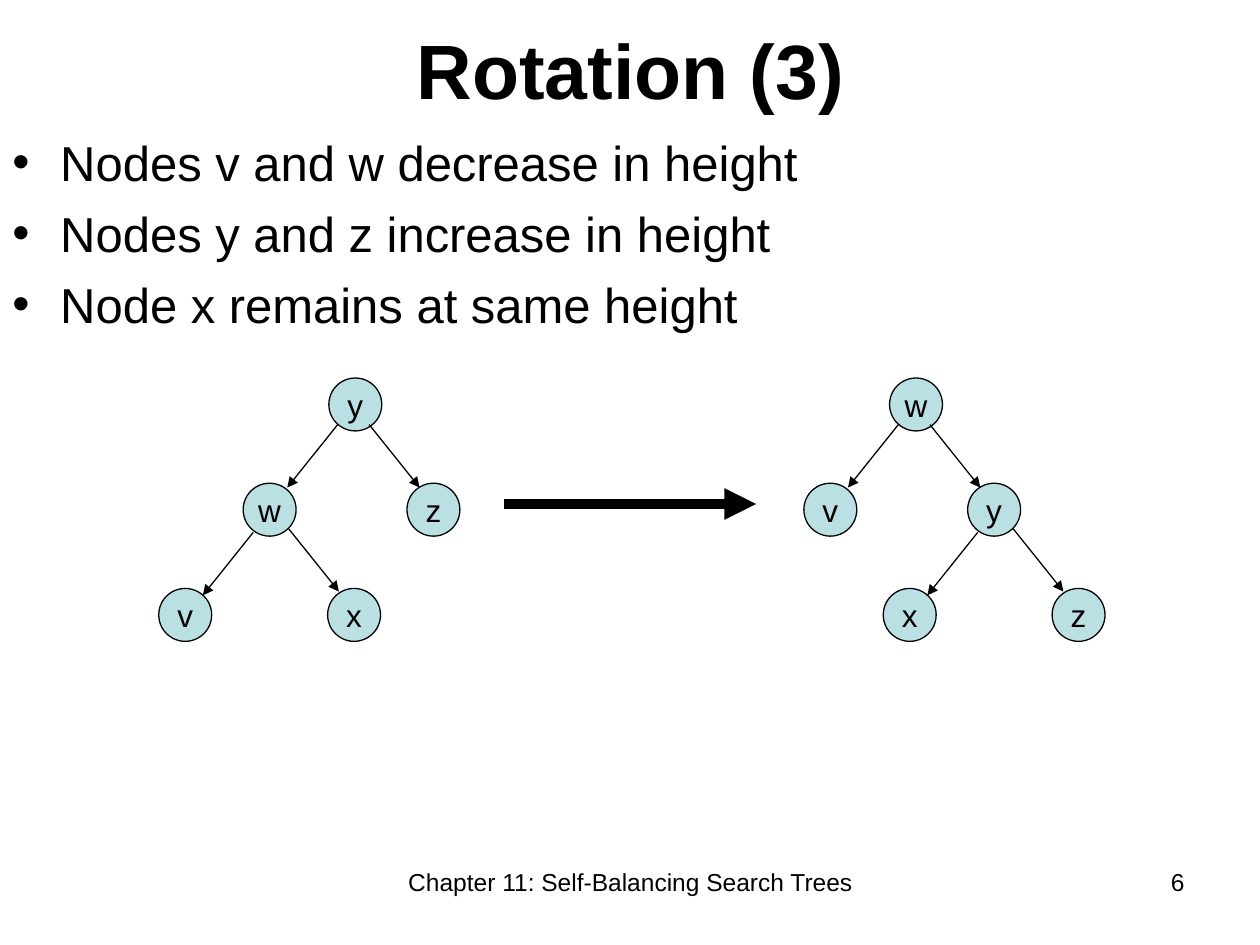
"""Build a slide that shows a rotation in a self-balancing search tree."""
import dataclasses
import typing

import pptx
import pptx.dml.color
import pptx.enum.shapes
import pptx.enum.text
import pptx.oxml.ns
import pptx.util
from lxml import etree

Inches = pptx.util.Inches
Align = pptx.enum.text.PP_ALIGN
Anchor = pptx.enum.text.MSO_ANCHOR


@dataclasses.dataclass(frozen=True)
class Theme:
    font: str = "Arial"
    ink: str = "000000"
    node: str = "BBE0E3"
    title: float = 44
    body: float = 28
    label: float = 18
    foot: float = 14
    thin: float = 0.75
    thick: float = 6


@dataclasses.dataclass(frozen=True)
class Block:
    lines: tuple[str, ...]
    box: tuple[float, float, float, float]
    size: float
    align: typing.Any = Align.LEFT
    anchor: typing.Any = Anchor.TOP
    bold: bool = False
    bullet: bool = False


@dataclasses.dataclass(frozen=True)
class Node:
    name: str
    kids: tuple["Node", ...] = ()


@dataclasses.dataclass(frozen=True)
class Branch:
    step: float
    start: tuple[float, float]
    end: tuple[float, float]


THEME = Theme()
SIZE = 0.42
TOP = 3
DROP = 0.835
ROWS = (
    (Branch(-0.68, (0.07, 0.37), (-0.33, 0.87)), Branch(0.62, (0.32, 0.37), (0.72, 0.87))),
    (Branch(-0.67, (0.08, 0.39), (-0.32, 0.89)), Branch(0.67, (0.36, 0.36), (0.76, 0.86))),
)
TREES = (
    (2.61, Node("y", (Node("w", (Node("v"), Node("x"))), Node("z")))),
    (7.06, Node("w", (Node("v"), Node("y", (Node("x"), Node("z")))))),
)
BLOCKS = (
    Block(("Rotation (3)",), (0.17, 0.17, 9.67, 0.75), THEME.title,
          Align.CENTER, Anchor.MIDDLE, bold=True),
    Block(("Nodes v and w decrease in height",
           "Nodes y and z increase in height",
           "Node x remains at same height"), (0, 1, 10, 5.7), THEME.body, bullet=True),
    Block(("Chapter 11: Self-Balancing Search Trees",), (2.67, 6.83, 4.67, 0.52),
          THEME.foot, Align.CENTER),
    Block(("6",), (7.17, 6.83, 2.33, 0.52), THEME.foot, Align.RIGHT),
)


def shade(code: str) -> pptx.dml.color.RGBColor:
    """Return the colour for a hex code."""
    return pptx.dml.color.RGBColor.from_string(code)


def assign(thing: typing.Any, values: dict[str, typing.Any]) -> None:
    """Set each named value on a thing."""
    for key, value in values.items():
        setattr(thing, key, value)


def add_tag(parent: typing.Any, tag: str, **values: str) -> None:
    """Append a drawing element with its values."""
    etree.SubElement(parent, pptx.oxml.ns.qn(tag), values)


def write(para: typing.Any, text: str, size: float, bold: bool = False) -> None:
    """Add one styled run to a paragraph."""
    run = para.add_run()
    run.text = text
    assign(run.font, {"name": THEME.font, "size": pptx.util.Pt(size), "bold": bold})
    run.font.color.rgb = shade(THEME.ink)


def add_dot(para: typing.Any) -> None:
    """Give a paragraph a hanging bullet."""
    props = para._p.get_or_add_pPr()
    hang = Inches(0.38)
    props.set("marL", str(hang))
    props.set("indent", str(-hang))
    add_tag(props, "a:buFont", typeface=THEME.font)
    add_tag(props, "a:buChar", char="•")


def draw_block(slide: typing.Any, block: Block) -> None:
    """Draw a text box with one paragraph per line."""
    frame = slide.shapes.add_textbox(*map(Inches, block.box)).text_frame
    assign(frame, {"word_wrap": True, "vertical_anchor": block.anchor})
    for rank, line in enumerate(block.lines):
        para = frame.add_paragraph() if rank else frame.paragraphs[0]
        if block.bullet:
            add_dot(para)
        para.alignment = block.align
        if rank:
            para.space_before = pptx.util.Pt(7)
        write(para, line, block.size, block.bold)


def draw_arrow(slide: typing.Any, start: tuple[float, float],
               end: tuple[float, float], width: float) -> None:
    """Draw a straight arrow between two points."""
    line = slide.shapes.add_connector(
        pptx.enum.shapes.MSO_CONNECTOR.STRAIGHT, *map(Inches, start + end))
    line.line.width = pptx.util.Pt(width)
    line.line.fill.solid()
    line.line.fill.fore_color.rgb = shade(THEME.ink)
    add_tag(line.line._get_or_add_ln(), "a:tailEnd", type="triangle")
    add_tag(line._element.spPr, "a:effectLst")


def draw_node(slide: typing.Any, name: str, left: float, top: float) -> None:
    """Draw a round node with its label."""
    disc = slide.shapes.add_shape(
        pptx.enum.shapes.MSO_SHAPE.OVAL, *map(Inches, (left, top, SIZE, SIZE)))
    disc.shadow.inherit = False
    disc.fill.solid()
    disc.fill.fore_color.rgb = shade(THEME.node)
    disc.line.color.rgb = shade(THEME.ink)
    disc.line.width = pptx.util.Pt(THEME.thin)
    frame = disc.text_frame
    assign(frame, {"word_wrap": False, "vertical_anchor": Anchor.MIDDLE})
    frame.paragraphs[0].alignment = Align.CENTER
    write(frame.paragraphs[0], name, THEME.label)


def draw_tree(slide: typing.Any, node: Node, left: float, row: int = 0) -> None:
    """Draw a node and, below it, the trees of its kids."""
    top = TOP + row * DROP
    draw_node(slide, node.name, left, top)
    if not node.kids:
        return
    for kid, branch in zip(node.kids, ROWS[row]):
        start, end = ((left + x, top + y) for x, y in (branch.start, branch.end))
        draw_tree(slide, kid, left + branch.step, row + 1)
        draw_arrow(slide, start, end, THEME.thin)


def main() -> None:
    """Build and save the slide."""
    deck = pptx.Presentation()
    assign(deck, {"slide_width": Inches(10), "slide_height": Inches(7.5)})
    slide = deck.slides.add_slide(deck.slide_layouts[6])
    for block in BLOCKS:
        draw_block(slide, block)
    for left, root in TREES:
        draw_tree(slide, root, left)
    draw_arrow(slide, (4, 4), (6, 4), THEME.thick)
    deck.save("out.pptx")


if __name__ == "__main__":
    main()
